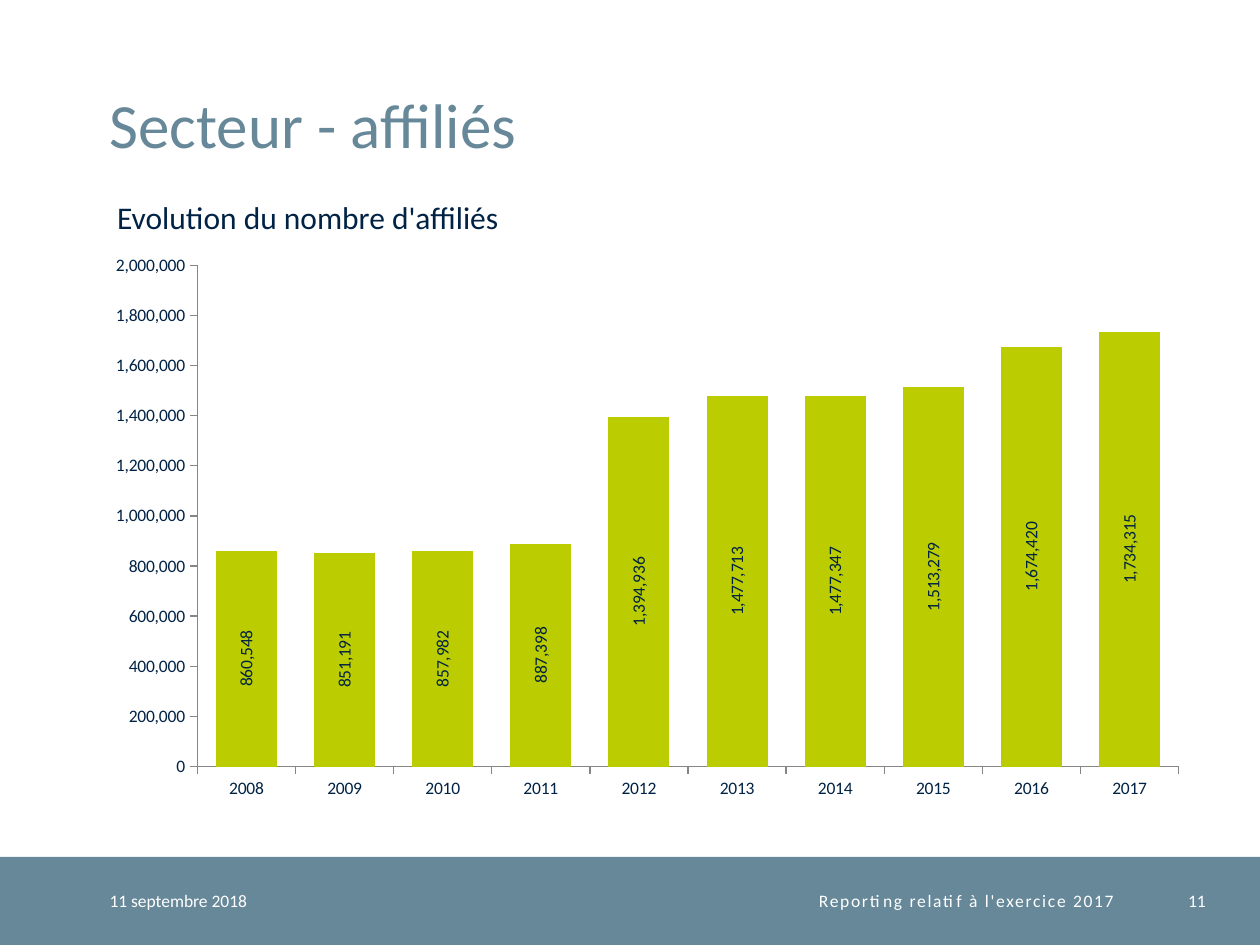
from lxml import etree
from pptx import Presentation
from pptx.chart.data import CategoryChartData
from pptx.dml.color import RGBColor
from pptx.enum.chart import XL_CHART_TYPE, XL_LABEL_POSITION, XL_TICK_MARK
from pptx.enum.shapes import MSO_SHAPE
from pptx.enum.text import MSO_ANCHOR, PP_ALIGN
from pptx.oxml.ns import qn
from pptx.util import Pt

COLUMN_STACKED = XL_CHART_TYPE.COLUMN_STACKED
LABEL_CENTER = XL_LABEL_POSITION.CENTER
TICK_OUTSIDE, TICK_NONE = XL_TICK_MARK.OUTSIDE, XL_TICK_MARK.NONE
RECTANGLE = MSO_SHAPE.RECTANGLE
TOP, MIDDLE, BOTTOM = MSO_ANCHOR.TOP, MSO_ANCHOR.MIDDLE, MSO_ANCHOR.BOTTOM
LEFT, RIGHT = PP_ALIGN.LEFT, PP_ALIGN.RIGHT

FONT = "Calibri"
SLATE, NAVY, LIME, WHITE, GRAY = "668899", "002244", "BBCC00", "FFFFFF", "868686"
SLIDE_WIDTH, SLIDE_HEIGHT = 720, 540
FOOTER_TOP, FOOTER_HEIGHT = 489.6, 50.4
MARGIN = 62.6
NUMBER_FORMAT = "#,##0"

YEARS = [str(year) for year in range(2008, 2018)]
MEMBERS = [860548, 851191, 857982, 887398, 1394936,
           1477713, 1477347, 1513279, 1674420, 1734315]


def color(hex_string):
    return RGBColor.from_string(hex_string)


def style_font(font, size, hex_string):
    font.name = FONT
    font.size = Pt(size)
    font.color.rgb = color(hex_string)


def add_text(slide, text, box, size, hex_string, anchor=MIDDLE, align=LEFT,
             insets=(0, 0), line_spacing=None, letter_spacing=None):
    """Add a one-line text box; insets are horizontal and vertical."""
    frame = slide.shapes.add_textbox(*map(Pt, box)).text_frame
    frame.word_wrap = True
    frame.vertical_anchor = anchor
    frame.margin_left = frame.margin_right = Pt(insets[0])
    frame.margin_top = frame.margin_bottom = Pt(insets[1])
    paragraph = frame.paragraphs[0]
    paragraph.alignment = align
    if line_spacing:
        paragraph.line_spacing = Pt(line_spacing)
    run = paragraph.add_run()
    run.text = text
    style_font(run.font, size, hex_string)
    if letter_spacing:
        run.font._element.set("spc", str(letter_spacing * 100))


def add_footer(slide):
    band = slide.shapes.add_shape(RECTANGLE, 0, Pt(FOOTER_TOP),
                                  Pt(SLIDE_WIDTH), Pt(FOOTER_HEIGHT))
    band.shadow.inherit = False
    band.fill.solid()
    band.fill.fore_color.rgb = color(SLATE)
    band.line.fill.background()
    entries = [
        ("11 septembre 2018", MARGIN, 99.4, LEFT, None),
        ("Reporting relatif à l'exercice 2017", 247, 389.5, RIGHT, 1),
        ("11", MARGIN, 626.4, RIGHT, None),
    ]
    for text, left, width, align, letter_spacing in entries:
        add_text(slide, text, (left, FOOTER_TOP, width, FOOTER_HEIGHT), 10, WHITE,
                 align=align, letter_spacing=letter_spacing)


def style_axis(axis):
    axis.has_major_gridlines = False
    axis.major_tick_mark = TICK_OUTSIDE
    axis.minor_tick_mark = TICK_NONE
    axis.format.line.color.rgb = color(GRAY)
    axis.format.line.width = Pt(0.75)
    style_font(axis.tick_labels.font, 10, NAVY)


def set_plot_area(chart, **fractions):
    """Fix the inner plot area as fractions of the chart frame."""
    plot_area = chart._chartSpace.chart.plotArea
    for old_layout in plot_area.findall(qn("c:layout")):
        plot_area.remove(old_layout)
    layout = etree.Element(qn("c:layout"))
    manual = etree.SubElement(layout, qn("c:manualLayout"))
    settings = {"layoutTarget": "inner", "xMode": "edge", "yMode": "edge", **fractions}
    for name, value in settings.items():
        etree.SubElement(manual, qn("c:" + name)).set("val", str(value))
    plot_area.insert(0, layout)


def add_members_chart(slide):
    chart_data = CategoryChartData(number_format=NUMBER_FORMAT)
    chart_data.categories = YEARS
    chart_data.add_series("Series 1", MEMBERS)
    chart = slide.shapes.add_chart(COLUMN_STACKED, Pt(54), Pt(139.7), Pt(632.2),
                                   Pt(323.3), chart_data).chart
    chart.has_legend = False
    chart.has_title = False
    style_font(chart.font, 10, NAVY)
    set_plot_area(chart, x=0.093, y=0.037, w=0.887, h=0.886)

    style_axis(chart.category_axis)
    style_axis(chart.value_axis)
    chart.value_axis.minimum_scale = 0
    chart.value_axis.maximum_scale = 2000000
    chart.value_axis.major_unit = 200000
    chart.value_axis.tick_labels.number_format = NUMBER_FORMAT
    chart.value_axis.tick_labels.number_format_is_linked = False

    plot = chart.plots[0]
    plot.vary_by_categories = False
    plot.gap_width = 61
    plot.overlap = 100
    series = plot.series[0]
    series.format.fill.solid()
    series.format.fill.fore_color.rgb = color(LIME)

    labels = series.data_labels
    labels.show_value = True
    labels.position = LABEL_CENTER
    labels.number_format = NUMBER_FORMAT
    labels.number_format_is_linked = False
    style_font(labels.font, 10, NAVY)
    body = labels._element.find(".//" + qn("a:bodyPr"))
    body.set("rot", "-5400000")
    body.set("vert", "horz")


def main():
    presentation = Presentation()
    presentation.slide_width = Pt(SLIDE_WIDTH)
    presentation.slide_height = Pt(SLIDE_HEIGHT)
    slide = presentation.slides.add_slide(presentation.slide_layouts[6])
    add_footer(slide)
    add_text(slide, "Secteur - affiliés", (MARGIN, 14.4, 621.4, 77.8), 36, SLATE,
             anchor=BOTTOM, line_spacing=32)
    add_text(slide, "Evolution du nombre d'affiliés", (59.8, 109.4, 646.6, 28.8),
             18, NAVY, anchor=TOP, insets=(7.2, 3.6))
    add_members_chart(slide)
    presentation.save("out.pptx")


if __name__ == "__main__":
    main()
